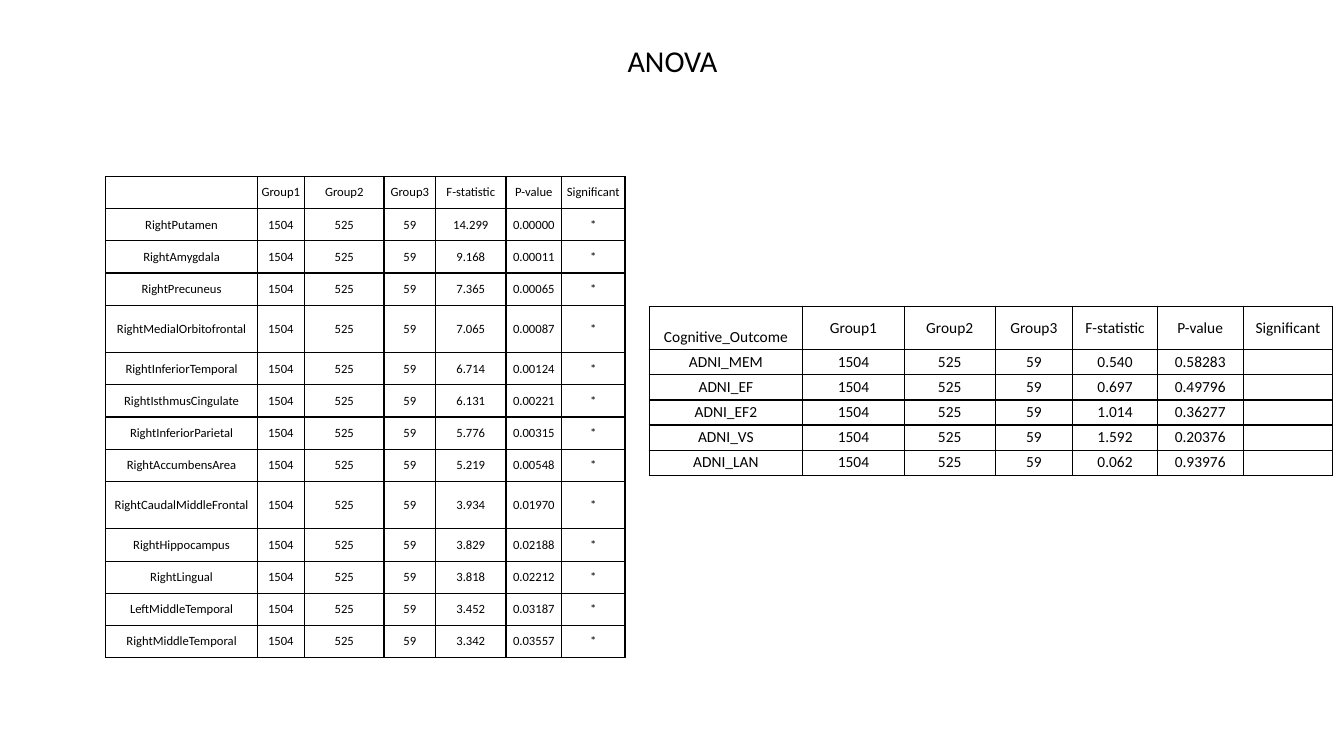
from dataclasses import dataclass
from lxml.etree import SubElement as Sub
from pptx import Presentation
from pptx.dml.color import RGBColor as RGB
from pptx.enum.text import MSO_ANCHOR as Anchor, MSO_AUTO_SIZE as Fit, PP_ALIGN as Align
from pptx.oxml.ns import qn
from pptx.util import Inches, Pt


@dataclass
class Theme:
    font: str = "Calibri"
    ink: str = "000000"
    title: float = 21.6
    brain: float = 9
    score: float = 11
    line: float = 1


look = Theme()


def style(para, size):
    para.alignment = Align.CENTER
    para.font.name = look.font
    para.font.size = Pt(size)
    para.font.color.rgb = RGB.from_string(look.ink)
    if not para.runs:  # keeps rows with empty cells at their height
        para._p.get_or_add_endParaRPr().set("sz", str(size * 100))


def add_grid(slide, left, top, cols, rows, data, size, pads):
    frame = slide.shapes.add_table(
        len(rows), len(cols), Inches(left), Inches(top), Inches(sum(cols)), Inches(sum(rows)))
    table = frame.table
    table.first_row = table.horz_banding = False
    for col, width in zip(table.columns, cols):
        col.width = Inches(width)
    for row, height, words in zip(table.rows, rows, data):
        row.height = Inches(height)
        for cell, word in zip(row.cells, words):
            cell.text = word
            cell.vertical_anchor = Anchor.MIDDLE
            cell.margin_left = cell.margin_right = Inches(pads[0])
            cell.margin_top = cell.margin_bottom = Inches(pads[1])
            style(cell.text_frame.paragraphs[0], size)
            # Borders come before the fill in the cell's properties
            props = cell._tc.get_or_add_tcPr()
            for side in ("lnL", "lnR", "lnT", "lnB"):
                edge = Sub(props, qn("a:" + side), w=str(Pt(look.line)))
                Sub(Sub(edge, qn("a:solidFill")), qn("a:srgbClr"), val=look.ink)
            cell.fill.background()
    return table


deck = Presentation()
deck.slide_width, deck.slide_height = Inches(13.33), Inches(7.5)
slide = deck.slides.add_slide(deck.slide_layouts[5])

# Title
title = slide.shapes.title
title.left, title.top = Inches(0.92), Inches(0.4)
title.width, title.height = Inches(11.5), Inches(0.45)
title.text_frame.text = "ANOVA"
title.text_frame.auto_size = Fit.NONE
title.text_frame.vertical_anchor = Anchor.MIDDLE
head = title.text_frame.paragraphs[0]
head.line_spacing = 0.9
style(head, look.title)

# Values shared by both tables
names = ["Group1", "Group2", "Group3", "F-statistic", "P-value", "Significant"]
counts = ["1504", "525", "59"]

# Brain regions
brain = [
    ("RightPutamen", "14.299", "0.00000"),
    ("RightAmygdala", "9.168", "0.00011"),
    ("RightPrecuneus", "7.365", "0.00065"),
    ("RightMedialOrbitofrontal", "7.065", "0.00087"),
    ("RightInferiorTemporal", "6.714", "0.00124"),
    ("RightIsthmusCingulate", "6.131", "0.00221"),
    ("RightInferiorParietal", "5.776", "0.00315"),
    ("RightAccumbensArea", "5.219", "0.00548"),
    ("RightCaudalMiddleFrontal", "3.934", "0.01970"),
    ("RightHippocampus", "3.829", "0.02188"),
    ("RightLingual", "3.818", "0.02212"),
    ("LeftMiddleTemporal", "3.452", "0.03187"),
    ("RightMiddleTemporal", "3.342", "0.03557"),
]
data = [["", *names]] + [[part, *counts, f, p, "*"] for part, f, p in brain]
tall = ("RightMedialOrbitofrontal", "RightCaudalMiddleFrontal")
rows = [0.47 if row[0] in tall else 0.32 for row in data]
add_grid(slide, 1.05, 1.75, [1.5, 0.47, 0.79, 0.51, 0.7, 0.55, 0.63],
         rows, data, look.brain, (0.03, 0.01))

# Cognitive outcomes
scores = [
    ("ADNI_MEM", "0.540", "0.58283"),
    ("ADNI_EF", "0.697", "0.49796"),
    ("ADNI_EF2", "1.014", "0.36277"),
    ("ADNI_VS", "1.592", "0.20376"),
    ("ADNI_LAN", "0.062", "0.93976"),
]
data = [["Cognitive_Outcome", *names]] + [[test, *counts, f, p, ""] for test, f, p in scores]
table = add_grid(slide, 6.44, 3.04, [1.52, 1.01, 0.9, 0.77, 0.84, 0.85, 0.89],
                 [0.43] + [0.24] * len(scores), data, look.score, (0.06, 0.03))
table.cell(0, 0).vertical_anchor = Anchor.BOTTOM

deck.save("out.pptx")
